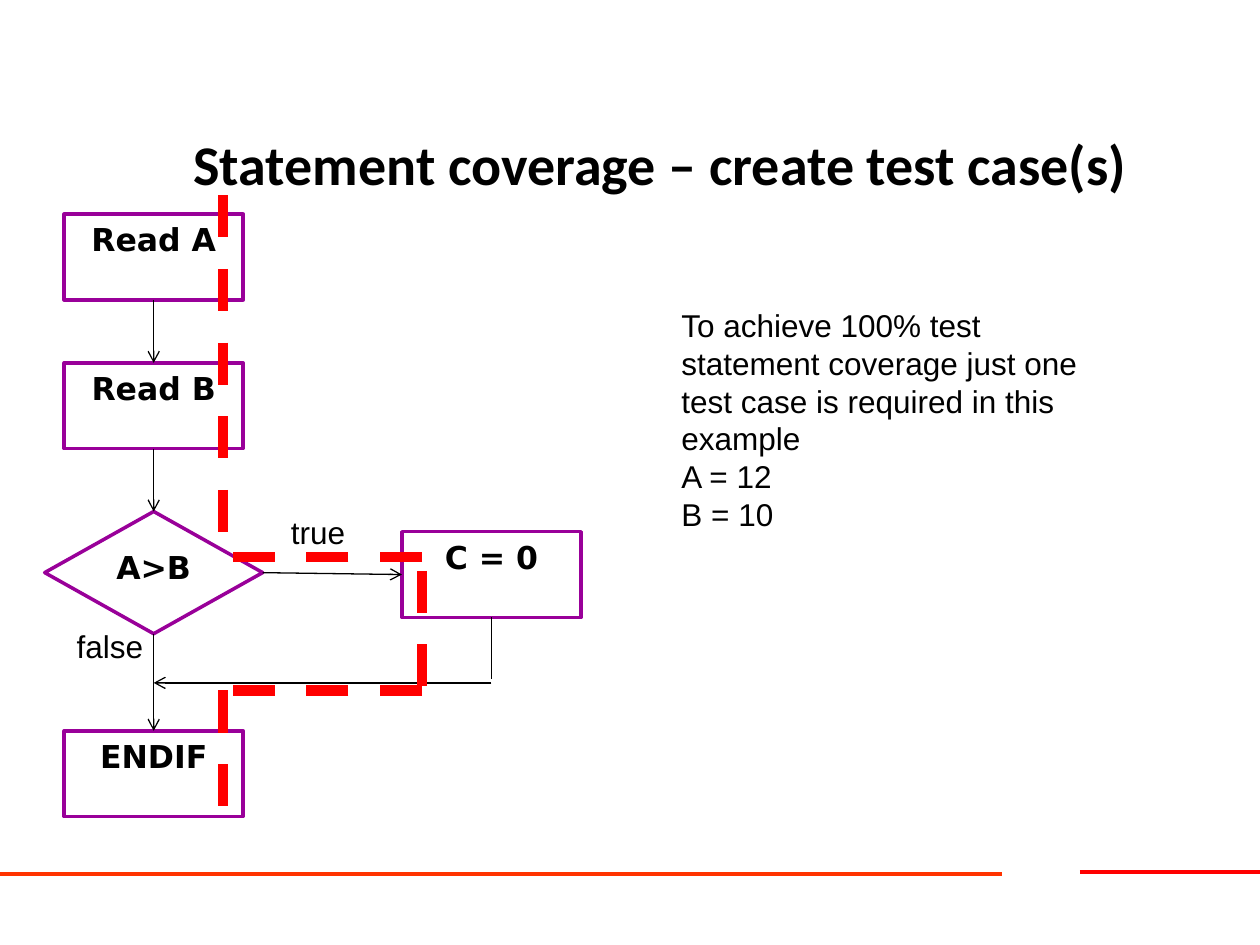
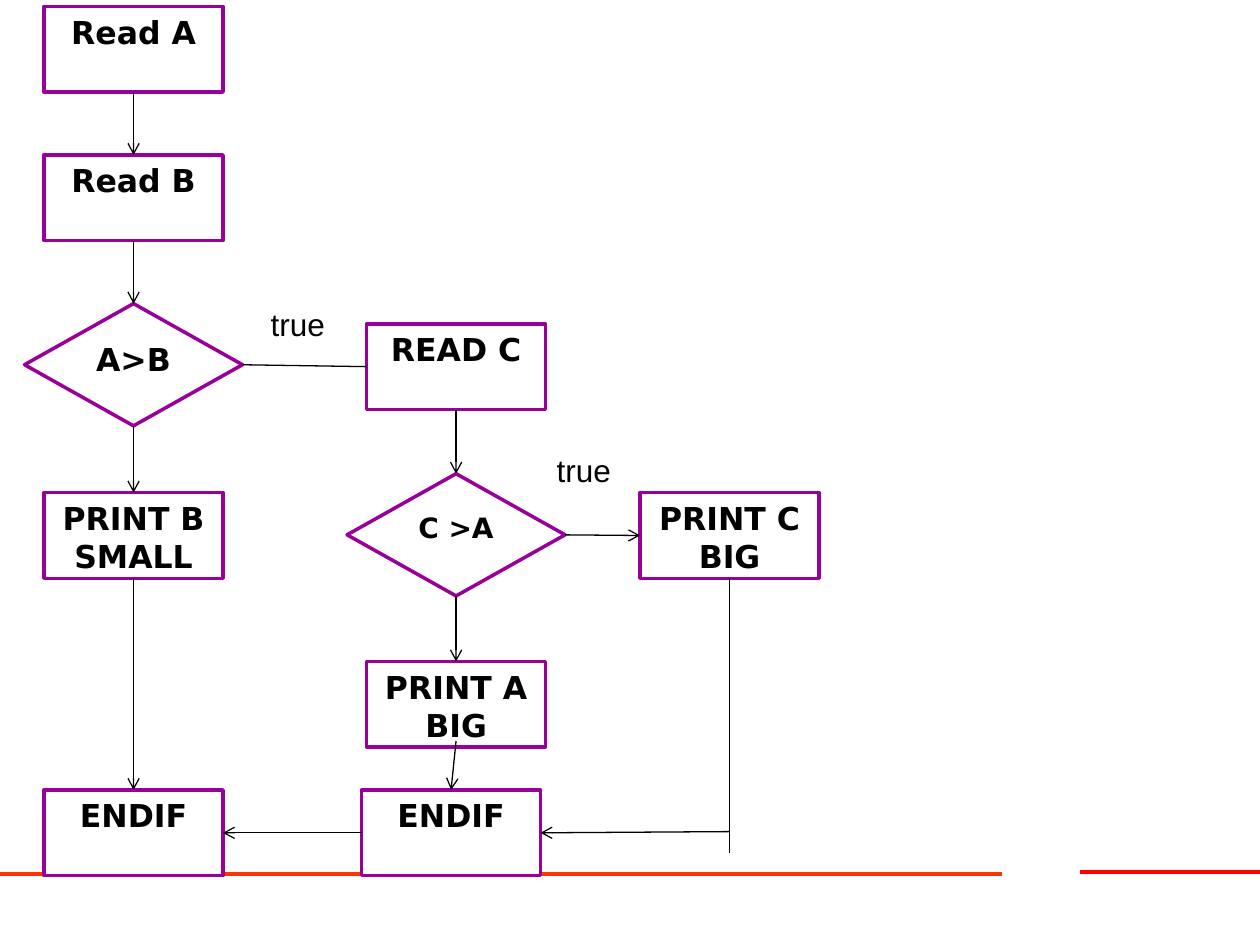
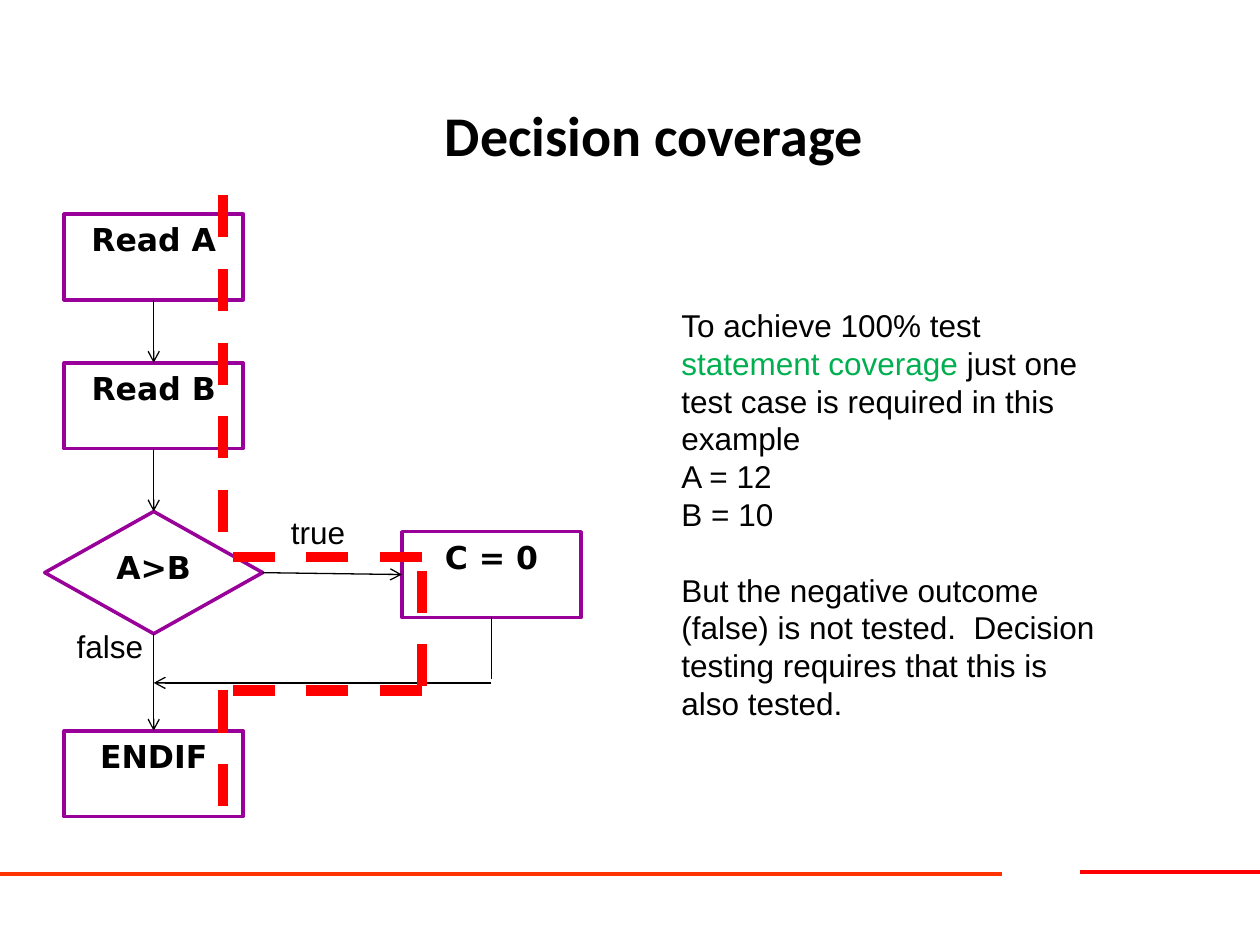
from lxml.etree import SubElement
from pptx import Presentation
from pptx.dml.color import RGBColor
from pptx.enum.dml import MSO_LINE
from pptx.enum.shapes import MSO_CONNECTOR, MSO_SHAPE
from pptx.enum.text import MSO_ANCHOR, MSO_AUTO_SIZE, PP_ALIGN
from pptx.oxml.ns import qn
from pptx.util import Inches, Pt

COLOURS = {"ink": "000000", "paper": "FFFFFF", "outline": "990099", "path": "FF0000",
           "footer": "FF3300", "highlight": "00B050"}
TITLE_FONT, NODE_FONT, BODY_FONT = "Calibri", "DejaVu Sans", "Arial"
TITLE_ONLY, BLANK = 5, 6
TOP, LEFT, BOTTOM, RIGHT = range(4)
COLUMNS, ROWS = 100, 75
PROCESS_SIZE, DECISION_SIZE = (14.2, 6.8), (17.3, 9.7)
LINE_PITCH = 1.2


def colour(name):
    """Return the named palette colour."""
    return RGBColor.from_string(COLOURS[name])


class FlowDeck:
    """Hold the deck style and draw on the current page."""

    def __init__(self):
        """Start an empty deck with a 100 by 75 grid."""
        self.deck = Presentation()
        self.deck.slide_width, self.deck.slide_height = Inches(10), Inches(7.5)
        self.page = None

    def add_page(self, layout):
        """Add a page and make it the current one."""
        self.page = self.deck.slides.add_slide(self.deck.slide_layouts[layout])

    def place(self, column, row):
        """Turn a grid position into slide lengths."""
        return (round(self.deck.slide_width * column / COLUMNS),
                round(self.deck.slide_height * row / ROWS))

    def format_para(self, para, font, size, bold=False, tint="ink"):
        """Format every run of a paragraph."""
        for span in para.runs:
            span.font.name, span.font.size, span.font.bold = font, Pt(size), bold
            span.font.color.rgb = colour(tint)

    def title(self, text, top):
        """Fill and move the title placeholder."""
        box = self.page.shapes.title
        box.left, box.top = self.place(9.9, top)
        box.width, box.height = self.place(85, 12.5)
        frame = box.text_frame
        frame.text = text
        frame.vertical_anchor = MSO_ANCHOR.MIDDLE
        frame.paragraphs[0].alignment = PP_ALIGN.CENTER
        self.format_para(frame.paragraphs[0], TITLE_FONT, 32, bold=True)

    def node(self, kind, extent, text, center, top, size):
        """Draw a flowchart node centred on a column."""
        box = self.page.shapes.add_shape(
            kind, *self.place(center - extent[0] / 2, top), *self.place(*extent))
        box.shadow.inherit = False
        box.fill.solid()
        box.fill.fore_color.rgb = colour("paper")
        box.line.color.rgb, box.line.width = colour("outline"), Pt(2)
        frame = box.text_frame
        frame.text, frame.word_wrap = text, True
        frame.vertical_anchor = MSO_ANCHOR.TOP
        para = frame.paragraphs[0]
        para.alignment, para.line_spacing = PP_ALIGN.CENTER, Pt(size * LINE_PITCH)
        self.format_para(para, NODE_FONT, size, bold=True)
        return box

    def process(self, text, center, top):
        """Draw a process node."""
        return self.node(MSO_SHAPE.FLOWCHART_PROCESS, PROCESS_SIZE, text, center, top, 18)

    def decision(self, text, center, top, size=18):
        """Draw a decision node."""
        return self.node(MSO_SHAPE.FLOWCHART_DECISION, DECISION_SIZE, text, center, top, size)

    def line(self, start, end, tint="ink", width=0.75, dashed=False, arrow=False):
        """Draw a line between grid points or (node, site) pairs."""
        ends = [(0, 0) if hasattr(point[0], "shape_id") else self.place(*point)
                for point in (start, end)]
        line = self.page.shapes.add_connector(MSO_CONNECTOR.STRAIGHT, *ends[0], *ends[1])
        if hasattr(start[0], "shape_id"):
            line.begin_connect(*start)
        if hasattr(end[0], "shape_id"):
            line.end_connect(*end)
        line.line.color.rgb, line.line.width = colour(tint), Pt(width)
        if dashed:
            line.line.dash_style = MSO_LINE.DASH
        properties = line.element.spPr
        if arrow:
            SubElement(properties.find(qn("a:ln")), qn("a:tailEnd"), type="arrow")
        SubElement(properties, qn("a:effectLst"))
        return line

    def arrow(self, start, end):
        """Draw a thin arrow."""
        return self.line(start, end, arrow=True)

    def chain(self, *nodes):
        """Join nodes downwards with arrows."""
        for upper, lower in zip(nodes, nodes[1:]):
            self.arrow((upper, BOTTOM), (lower, TOP))

    def text(self, column, row, width, height, paragraphs, gaps=()):
        """Write paragraphs of (text, colour) spans, with a line gap before those in gaps."""
        box = self.page.shapes.add_textbox(*self.place(column, row), *self.place(width, height))
        frame = box.text_frame
        frame.word_wrap, frame.auto_size = True, MSO_AUTO_SIZE.SHAPE_TO_FIT_TEXT
        for index, spans in enumerate(paragraphs):
            para = frame.add_paragraph() if index else frame.paragraphs[0]
            para.line_spacing = Pt(18 * LINE_PITCH)
            if index in gaps:
                para.space_before = Pt(18 * LINE_PITCH)
            for text, tint in spans:
                if text == "\v":
                    para.add_line_break()
                    continue
                span = para.add_run()
                span.text = text
                span.font.name, span.font.size = BODY_FONT, Pt(18)
                span.font.color.rgb = colour(tint)

    def label(self, text, column, row, width=7.1):
        """Write a branch label."""
        self.text(column, row, width, 4, [[(text, "ink")]])

    def footer(self):
        """Draw the footer rules and move them to the slide master."""
        master = self.deck.slide_master.shapes.element
        for start, end, row, tint in ((85.7, 100, 69.2, "path"), (0, 79.5, 69.4, "footer")):
            master.append(self.line((start, row), (end, row), tint, 2.25).element)


def coverage_page(flow, title, title_top, note, note_height, gaps=()):
    """Build a page with the single-decision flow and its tested path."""
    flow.add_page(TITLE_ONLY)
    flow.title(title, title_top)
    center, branch = 12.2, 39
    read_a, read_b = (flow.process(text, center, top)
                      for text, top in (("Read A", 17), ("Read B", 28.8)))
    endif = flow.process("ENDIF", center, 58)
    test = flow.decision("A>B", center, 40.6)
    assign = flow.process("C = 0", branch, 42.2)
    flow.chain(read_a, read_b, test, endif)
    flow.arrow((test, RIGHT), (assign, LEFT))
    flow.line((assign, BOTTOM), (branch, 53.9))
    flow.arrow((branch, 54.2), (center, 54.2))
    flow.text(53.1, 23.8, 36.2, note_height, note, gaps)
    flow.label("true", 22.1, 40.2)
    flow.label("false", 5.1, 49.3, 8.7)
    near, far, turn, back = 17.7, 33.5, 44.2, 54.8
    for start, end in (((near, 15.5), (near, turn)), ((near, back), (near, 64.3)),
                       ((far, turn), (near, turn)), ((far, back), (near, back)),
                       ((far, 45.3), (far, back))):
        flow.line(start, end, "path", 6, dashed=True)


def nested_page(flow):
    """Build the page with the nested decision flow."""
    flow.add_page(BLANK)
    main, inner, outer = 10.6, 36.2, 57.9
    read_a, read_b = (flow.process(text, main, top)
                      for text, top in (("Read A", 0.5), ("Read B", 12.3)))
    endif = flow.process("ENDIF", main, 62.7)
    first = flow.decision("A>B", main, 24.1)
    read_c = flow.process("READ C", inner, 25.7)
    second = flow.decision("C >A", inner, 37.6, 16)
    print_c = flow.process("PRINT C BIG", outer, 39.1)
    print_a = flow.process("PRINT A BIG", inner, 52.5)
    inner_endif = flow.process("ENDIF", 35.8, 62.7)
    print_b = flow.process("PRINT B SMALL", main, 39.1)
    flow.chain(read_a, read_b, first, print_b, endif)
    flow.chain(read_c, second, print_a)
    flow.line((first, RIGHT), (read_c, LEFT))
    flow.arrow((second, RIGHT), (print_c, LEFT))
    flow.line((print_c, BOTTOM), (outer, 67.7))
    flow.arrow((inner, 58.8), (inner_endif, TOP))
    flow.arrow((outer, 66), (inner_endif, RIGHT))
    flow.arrow((inner_endif, LEFT), (endif, RIGHT))
    flow.label("true", 20.5, 23.7)
    flow.label("true", 43.2, 35.3)


def main():
    """Build and save the deck."""
    flow = FlowDeck()
    values = [("A = 12", "ink"), ("\v", "ink"), ("B = 10", "ink")]
    opening, subject = "To achieve 100% test ", "statement coverage "
    ending = "just one test case is required in this example"
    coverage_page(flow, "Statement coverage – create test case(s)", 6.7,
                  [[(opening + subject + ending, "ink")], values], 19)
    flow.footer()
    nested_page(flow)
    outcome = ("But the negative outcome (false) is not tested.  "
               "Decision testing requires that this is also tested.")
    coverage_page(flow, "Decision coverage ", 4.4,
                  [[(opening, "ink"), (subject, "highlight"), (ending, "ink")], values,
                   [(outcome, "ink")]], 34, gaps=(2,))
    flow.deck.save("out.pptx")


if __name__ == "__main__":
    main()
